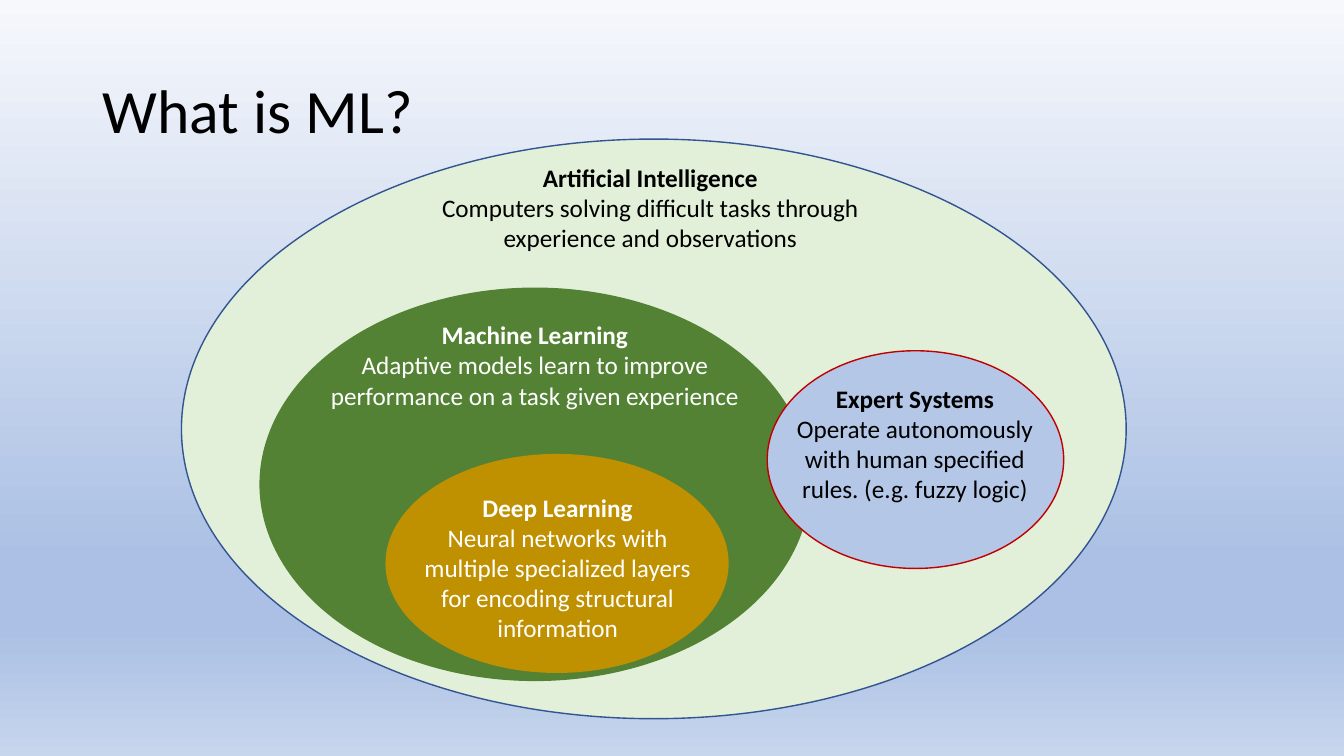
import pptx
import pptx.dml.color
import pptx.enum.shapes
import pptx.enum.text
import pptx.oxml.ns
import pptx.util
from lxml import etree

# Content: ellipse and caption boxes are left, top, width, height in inches
TITLE = "What is ML?"
TITLE_BOX = (0.92, 0.4, 11.5, 1.45)
FIELDS = [
    dict(name="Artificial Intelligence",
         meaning="Computers solving difficult tasks through experience and observations",
         ellipse=(1.8, 1.38, 9.37, 5.75), caption=(4.26, 1.56, 4.38, 1.01),
         fill="E2F0D9", line="325491", text="000000"),
    dict(name="Machine Learning",
         meaning="Adaptive models learn to improve performance on a task given experience",
         ellipse=(2.58, 2.86, 5.45, 3.89), caption=(2.83, 3.12, 4.95, 1.01),
         fill="548235", line="548235", text="FFFFFF"),
    dict(name="Deep Learning",
         meaning="Neural networks with multiple specialized layers for encoding "
                 "structural information",
         ellipse=(3.83, 4.51, 3.39, 2.16), caption=(3.99, 4.83, 3.08, 1.62),
         fill="BF9000", line="BF9000", text="FFFFFF"),
    dict(name="Expert Systems",
         meaning="Operate autonomously with human specified rules. (e.g. fuzzy logic)",
         ellipse=(7.61, 3.48, 2.94, 2.16), caption=(7.74, 3.75, 2.67, 1.31),
         fill="B4C7E7", line="C00000", text="000000"),
]
THEME = dict(
    font="Calibri", title_size=44, body_size=18, line_width=1, title_color="000000",
    background=[(0, "F6F8FC"), (74, "ABC0E4"), (83, "ABC0E4"), (100, "C7D5ED")],
)


def rgb(value):
    return pptx.dml.color.RGBColor.from_string(value)


def inches(box):
    return [pptx.util.Inches(length) for length in box]


def format_runs(paragraph, size, color, bold=False):
    for run in paragraph.runs:
        run.font.name = THEME["font"]
        run.font.size = pptx.util.Pt(size)
        run.font.bold = bold
        run.font.color.rgb = rgb(color)


def paint_background(slide):
    fill = slide.background.fill
    fill.gradient()
    fill.gradient_angle = 270
    qn = pptx.oxml.ns.qn
    stops = next(slide.element.iter(qn("a:gsLst")))
    for stop in list(stops):
        stops.remove(stop)
    for percent, color in THEME["background"]:
        stop = etree.SubElement(stops, qn("a:gs"), pos=str(percent * 1000))
        etree.SubElement(stop, qn("a:srgbClr"), val=color)


def add_title(slide):
    title = slide.shapes.title
    title.left, title.top, title.width, title.height = inches(TITLE_BOX)
    frame = title.text_frame
    frame.text = TITLE
    frame.vertical_anchor = pptx.enum.text.MSO_ANCHOR.MIDDLE
    paragraph = frame.paragraphs[0]
    paragraph.alignment = pptx.enum.text.PP_ALIGN.LEFT
    paragraph.line_spacing = 0.9
    format_runs(paragraph, THEME["title_size"], THEME["title_color"])


def add_field(slide, field):
    group = slide.shapes.add_group_shape()
    ellipse = group.shapes.add_shape(
        pptx.enum.shapes.MSO_SHAPE.OVAL, *inches(field["ellipse"]))
    ellipse.shadow.inherit = False
    ellipse.fill.solid()
    ellipse.fill.fore_color.rgb = rgb(field["fill"])
    ellipse.line.color.rgb = rgb(field["line"])
    ellipse.line.width = pptx.util.Pt(THEME["line_width"])

    frame = group.shapes.add_textbox(*inches(field["caption"])).text_frame
    frame.word_wrap = True
    frame.auto_size = pptx.enum.text.MSO_AUTO_SIZE.SHAPE_TO_FIT_TEXT
    frame.text = field["name"] + "\n" + field["meaning"]
    for index, paragraph in enumerate(frame.paragraphs):
        paragraph.alignment = pptx.enum.text.PP_ALIGN.CENTER
        format_runs(paragraph, THEME["body_size"], field["text"], bold=index == 0)


def main():
    presentation = pptx.Presentation()
    presentation.slide_width = pptx.util.Inches(13.33)
    presentation.slide_height = pptx.util.Inches(7.5)
    slide = presentation.slides.add_slide(presentation.slide_layouts[5])
    paint_background(slide)
    add_title(slide)
    # Nested fields, outermost first
    for field in FIELDS:
        add_field(slide, field)
    presentation.save("out.pptx")


if __name__ == "__main__":
    main()
